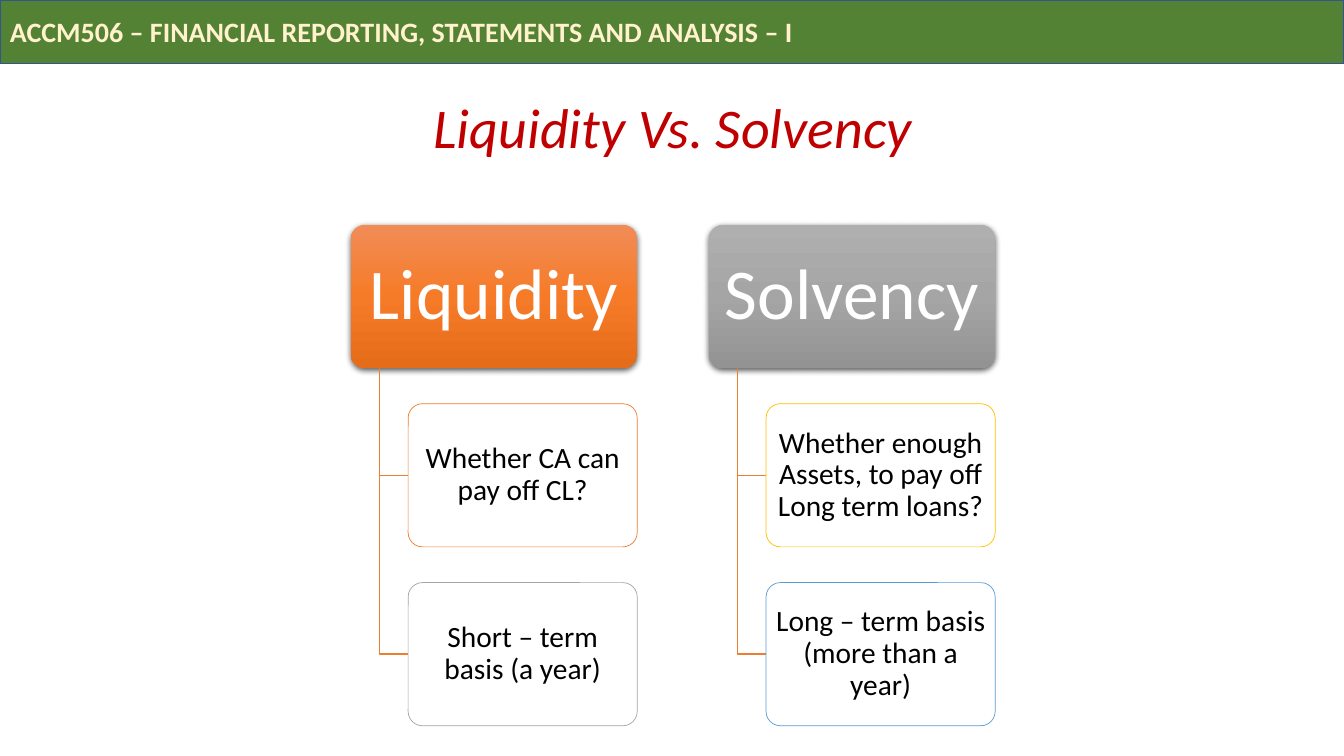
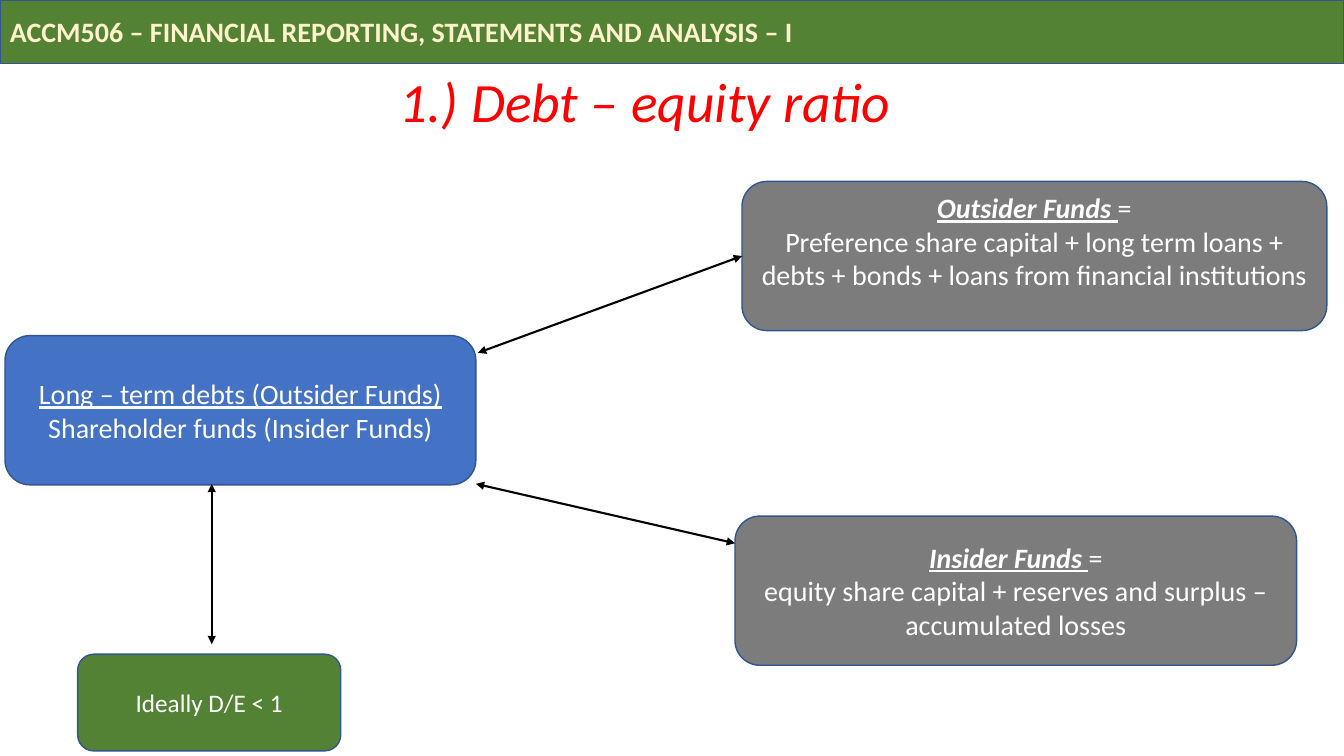
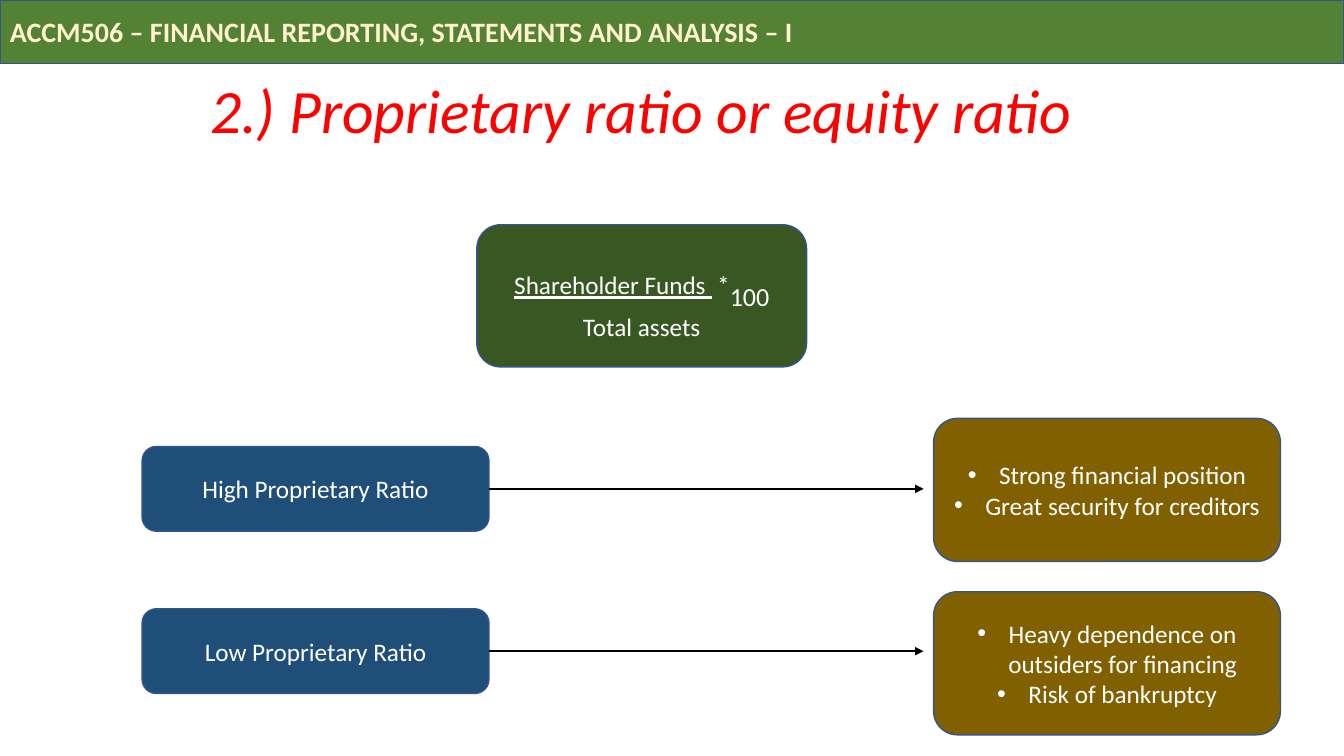
"""Builds three slides on liquidity, solvency and long-term ratios."""
from lxml import etree
from pptx import Presentation
from pptx.dml.color import RGBColor
from pptx.enum import shapes, text
from pptx.oxml import ns
from pptx.util import Inches, Pt

FONT = "Calibri"
WIDTH, HEIGHT = 13.33, 7.5
WHITE, BLACK, CREAM = "FFFFFF", "000000", "FFF2CC"
GREEN, OUTLINE, ORANGE = "548235", "325491", "ED7D31"
GREY, NAVY, OLIVE = "7C7C7C", "1F4E79", "806000"
RECT, ROUND = shapes.MSO_SHAPE.RECTANGLE, shapes.MSO_SHAPE.ROUNDED_RECTANGLE
LEFT, CENTER = text.PP_ALIGN.LEFT, text.PP_ALIGN.CENTER

COURSE = "ACCM506 – FINANCIAL REPORTING, STATEMENTS AND ANALYSIS – I"

COMPARISON = [
    ("Liquidity", ("F18C57", "F67B28", "E56C19"),
     [("Whether CA can pay off CL?", ORANGE),
      ("Short – term basis (a year)", "A5A5A5")]),
    ("Solvency", ("AFAFAF", "A5A5A5", "939393"),
     [("Whether enough Assets, to pay off Long term loans?", "FFC000"),
      ("Long – term basis (more than a year)", "5B9BD5")]),
]

DEBT_BOXES = [
    ((0.77, 6.49, 2.61, 0.96), GREEN, 18, ["Ideally D/E < 1"], 0.05),
    ((0.05, 3.33, 4.67, 1.48), "4472C4", 20,
     [[("Long – term debts (Outsider Funds)", "u")],
      "Shareholder funds (Insider Funds)"], 0.05),
    ((7.29, 5.12, 5.57, 1.48), GREY, 20,
     [[("Insider Funds ", "biu"), ("=", "")],
      "equity share capital + reserves and surplus – accumulated losses"], 0.05),
    ((7.36, 1.8, 5.8, 1.48), GREY, 20,
     [[("Outsider Funds ", "biu"), ("=", "")],
      "Preference share capital + long term loans + debts + bonds"
      " + loans from financial institutions"], 0.35),
]
DEBT_ARROWS = [(4.74, 3.5, 7.36, 2.54), (4.72, 4.8, 7.29, 5.39), (2.1, 4.8, 2.1, 6.39)]

FORMULA = [[("Shareholder Funds ", "u"), (" *", ""), ("100", "s")], "Total assets"]
OUTCOMES = [
    ("High Proprietary Ratio", 4.43, 4.15,
     ["Strong financial position", "Great security for creditors"]),
    ("Low Proprietary Ratio", 6.04, 5.87,
     ["Heavy dependence on outsiders for financing", "Risk of bankruptcy"]),
]


def rgb(value):
    return RGBColor.from_string(value)


def inches(*values):
    return [Inches(v) for v in values]


def sub(parent, tag, **attrs):
    return etree.SubElement(parent, ns.qn(tag), attrs)


def write(sp, paragraphs, size, color, align=CENTER, spacing=1.0, styles="",
          insets=(0.1, 0.05, 0.1, 0.05), bullet=False):
    tf = sp.text_frame
    tf.word_wrap = True
    tf.vertical_anchor = text.MSO_ANCHOR.MIDDLE
    tf.margin_left, tf.margin_top, tf.margin_right, tf.margin_bottom = inches(*insets)
    for i, runs in enumerate(paragraphs):
        p = tf.add_paragraph() if i else tf.paragraphs[0]
        p.alignment, p.line_spacing = align, spacing
        if bullet:
            pr = p._p.get_or_add_pPr()
            pr.set("marL", str(Inches(0.31)))
            pr.set("indent", str(-Inches(0.31)))
            sub(pr, "a:buFont", typeface="Arial")
            sub(pr, "a:buChar", char="•")
        for words, flags in [(runs, styles)] if isinstance(runs, str) else runs:
            r = p.add_run()
            r.text = words
            font = r.font
            font.name, font.size, font.color.rgb = FONT, Pt(size), rgb(color)
            font.bold, font.italic, font.underline = (f in flags for f in "biu")
            if "s" in flags:
                font.size = Pt(32)
                r._r.get_or_add_rPr().set("baseline", "-25000")


def add_box(slide, at, fill, line=OUTLINE, weight=1, kind=ROUND):
    sp = slide.shapes.add_shape(kind, *inches(*at))
    sp.shadow.inherit = False
    sp.fill.solid()
    sp.fill.fore_color.rgb = rgb(fill)
    sp.line.color.rgb = rgb(line)
    sp.line.width = Pt(weight)
    return sp


def add_arrow(slide, x1, y1, x2, y2, both=False):
    line = slide.shapes.add_connector(shapes.MSO_CONNECTOR.STRAIGHT, *inches(x1, y1, x2, y2))
    line.line.color.rgb = rgb(BLACK)
    line.line.width = Pt(1.5)
    ln = line.line._get_or_add_ln()
    for end in ("a:headEnd", "a:tailEnd") if both else ("a:tailEnd",):
        sub(ln, end, type="triangle")
    sub(line._element.spPr, "a:effectLst")


def add_elbow(slide, x1, y1, x2, y2):
    x1, y1, x2, y2 = inches(x1, y1, x2, y2)
    builder = slide.shapes.build_freeform(x1, y1)
    builder.add_line_segments([(x1, y2), (x2, y2)], close=False)
    sp = builder.convert_to_shape()
    sp.shadow.inherit = False
    sp.fill.background()
    sp.line.color.rgb = rgb(ORANGE)
    sp.line.width = Pt(1)


def make_glossy(sp, colors):
    sp.line.fill.background()
    sp.fill.gradient()
    sp.fill.gradient_angle = 270
    pr = sp._element.spPr
    stops = pr.find(".//" + ns.qn("a:gsLst"))
    stops.clear()
    for i, color in enumerate(colors):
        sub(sub(stops, "a:gs", pos=str(i * 50000)), "a:srgbClr", val=color)
    shadow = sub(pr.find(ns.qn("a:effectLst")), "a:outerShdw", blurRad=str(Pt(4.5)),
                 dist=str(Pt(1.5)), dir="5400000", algn="ctr", rotWithShape="0")
    sub(sub(shadow, "a:srgbClr", val=BLACK), "a:alpha", val="63000")


def add_slide(prs, title, at, size, color):
    slide = prs.slides.add_slide(prs.slide_layouts[6])
    band = add_box(slide, (0, 0, WIDTH, 0.63), GREEN, kind=RECT)
    write(band, [COURSE], 20, CREAM, align=LEFT, styles="b")
    heading = slide.shapes.add_textbox(*inches(*at))
    write(heading, [title], size, color, spacing=0.9, styles="i")
    return slide


def build_comparison(prs):
    slide = add_slide(prs, "Liquidity Vs. Solvency", (0.92, 0.74, 11.5, 1.1), 40, "C00000")
    top, w, h = 2.23, 2.84, 1.42
    for col, (name, colors, leaves) in enumerate(COMPARISON):
        left = 3.48 + col * w * 1.25
        head = add_box(slide, (left, top, w, h), colors[1])
        head.adjustments[0] = 0.1
        make_glossy(head, colors)
        write(head, [name], 51, WHITE, spacing=0.9, insets=(0.11, 0.07, 0.11, 0.07))
        for row, (words, line) in enumerate(leaves, 1):
            x, y = left + w / 5, top + row * h * 1.25
            add_elbow(slide, left + w / 10, top + h, x, y + h / 2)
            leaf = add_box(slide, (x, y, w * 0.8, h), WHITE, line, 0.5)
            leaf.adjustments[0] = 0.1
            write(leaf, [words], 21, BLACK, spacing=0.9, insets=(0.04, 0.03, 0.04, 0.03))


def build_debt_equity(prs):
    slide = add_slide(prs, "1.) Debt – equity ratio ", (0.46, 0.78, 12, 0.52), 39.6, "FF0000")
    for at, fill, size, paragraphs, bottom in DEBT_BOXES:
        write(add_box(slide, at, fill), paragraphs, size, WHITE,
              insets=(0.1, 0.05, 0.1, bottom))
    for ends in DEBT_ARROWS:
        add_arrow(slide, *ends, both=True)


def build_proprietary(prs):
    slide = add_slide(prs, "2.) Proprietary ratio or equity ratio",
                      (0.36, 0.68, 12, 0.89), 44, "FF0000")
    write(add_box(slide, (4.73, 2.23, 3.27, 1.41), "385723"), FORMULA, 18, WHITE)
    left, w, h = 1.41, 3.44, 0.84
    for ratio, ratio_top, effect_top, effects in OUTCOMES:
        write(add_box(slide, (left, ratio_top, w, h), NAVY), [ratio], 18, WHITE)
        middle = ratio_top + h / 2
        add_arrow(slide, left + w, middle, 9.16, middle)
        effect = add_box(slide, (9.26, effect_top, w, 1.42), OLIVE)
        write(effect, effects, 18, WHITE, bullet=True)


def main():
    prs = Presentation()
    prs.slide_width, prs.slide_height = inches(WIDTH, HEIGHT)
    build_comparison(prs)
    build_debt_equity(prs)
    build_proprietary(prs)
    prs.save("out.pptx")


if __name__ == "__main__":
    main()
